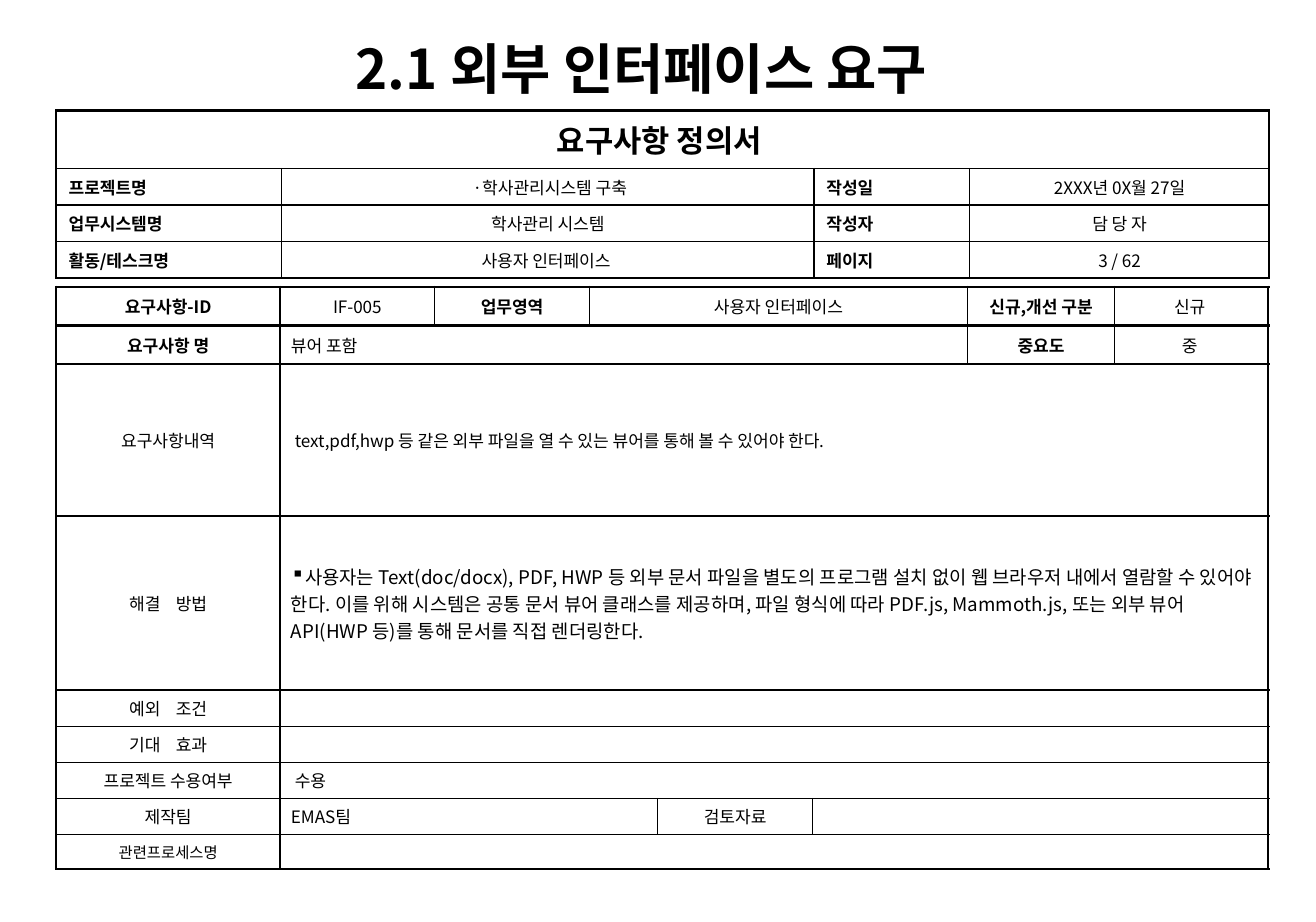
from lxml import etree
from pptx import Presentation
from pptx import util as u
from pptx.dml import color
from pptx.enum import text
from pptx.oxml import ns

FONT = "Noto Sans CJK KR"
BLACK = "000000"
THIN, THICK = 1, 1.5


def write(frame, words, size=10, bold=False, align="CENTER", bullet=None):
    para = frame.paragraphs[0]
    para.alignment = getattr(text.PP_ALIGN, align)
    if bullet:
        etree.SubElement(para._p.get_or_add_pPr(), ns.qn("a:buChar"), char=bullet)
    if not words:
        etree.SubElement(para._p, ns.qn("a:endParaRPr"), sz=str(size * 100))
        return
    span = para.add_run()
    span.text = words
    span.font.size = u.Pt(size)
    span.font.bold = bold
    span.font.name = FONT
    span.font.color.rgb = color.RGBColor.from_string(BLACK)
    etree.SubElement(span.font._element, ns.qn("a:ea"), typeface=FONT)


def draw_borders(cell, **widths):
    """Draw each side (L, R, T, B) as a solid line of the given width in points."""
    properties = cell._tc.get_or_add_tcPr()
    for side in "LRTB":
        line = etree.SubElement(properties, ns.qn("a:ln" + side), w=str(u.Pt(widths[side])))
        fill = etree.SubElement(line, ns.qn("a:solidFill"))
        etree.SubElement(fill, ns.qn("a:srgbClr"), val=BLACK)


heading = dict(size=18, bold=True)
left_label = dict(bold=True, align="JUSTIFY")
label = dict(bold=True)
centred = dict()
small = dict(size=9)
body = dict(align="LEFT")
solution = dict(size=11, align="LEFT", bullet="▪")

# Each cell is (text, columns spanned, format).
project_rows = [
    [("요구사항 정의서 ", 4, heading)],
    [("프로젝트명", 1, left_label), (" ·학사관리시스템 구축", 1, centred),
     ("작성일", 1, left_label), ("2XXX년 0X월 27일", 1, centred)],
    [("업무시스템명 ", 1, left_label), ("학사관리 시스템", 1, centred),
     ("작성자", 1, left_label), ("담 당 자", 1, centred)],
    [("활동/테스크명", 1, left_label), ("사용자 인터페이스 ", 1, centred),
     ("페이지", 1, left_label), ("3 / 62", 1, centred)],
]
requirement_rows = [
    [("요구사항-ID", 1, label), ("IF-005", 1, centred), ("업무영역", 1, label),
     ("사용자 인터페이스", 3, centred), ("신규,개선 구분", 1, label), ("신규 ", 1, centred)],
    [("요구사항 명", 1, label), ("뷰어 포함", 5, body), ("중요도", 1, label), ("중 ", 1, centred)],
    [("요구사항내역", 1, centred),
     (" text,pdf,hwp 등 같은 외부 파일을 열 수 있는 뷰어를 통해 볼 수 있어야 한다.", 7, body)],
    [("해결    방법", 1, centred),
     ("사용자는 Text(doc/docx), PDF, HWP 등 외부 문서 파일을 별도의 프로그램 설치 없이 "
      "웹 브라우저 내에서 열람할 수 있어야 한다. 이를 위해 시스템은 공통 문서 뷰어 클래스를 "
      "제공하며, 파일 형식에 따라 PDF.js, Mammoth.js, 또는 외부 뷰어 API(HWP 등)를 통해 "
      "문서를 직접 렌더링한다.", 7, solution)],
    [("예외    조건", 1, centred), ("", 7, body)],
    [("기대    효과", 1, centred), ("", 7, body)],
    [("프로젝트 수용여부", 1, centred), (" 수용", 7, body)],
    [("제작팀", 1, centred), ("EMAS팀", 3, body), ("검토자료", 1, centred), ("", 3, body)],
    [("관련프로세스명", 1, small), ("", 7, body)],
]

# Each table is (top, column widths, row heights, side margin, rows ruled off thickly, rows).
tables = [
    (64.7, [132, 312, 91.2, 175.5], [34] + [21.4] * 3, 7.2, 0, project_rows),
    (168, [131, 90.7, 90.7, 40, 90.7, 90.7, 86.4, 90],
     [22.6, 22.6, 89, 102] + [21.2] * 4 + [20], 6.5, 2, requirement_rows),
]

deck = Presentation()
deck.slide_width, deck.slide_height = u.Pt(771), u.Pt(540)
page = deck.slides.add_slide(deck.slide_layouts[6])

for top, widths, heights, margin, thick_rows, rows in tables:
    table = page.shapes.add_table(
        len(heights), len(widths), u.Pt(33), u.Pt(top),
        u.Pt(sum(widths)), u.Pt(sum(heights))).table
    table.first_row = table.horz_banding = False
    for column, width in zip(table.columns, widths):
        column.width = u.Pt(width)
    for row, height in zip(table.rows, heights):
        row.height = u.Pt(height)

    for row, entries in enumerate(rows):
        edge_top = THICK if row <= thick_rows else THIN
        edge_bottom = THICK if row < thick_rows or row == len(rows) - 1 else THIN
        start = 0
        for words, spanned, style in entries:
            end = start + spanned
            for column in range(start, end):
                cell = table.cell(row, column)
                cell.margin_left = cell.margin_right = u.Pt(margin)
                cell.margin_top = cell.margin_bottom = u.Pt(2)
                cell.vertical_anchor = text.MSO_ANCHOR.MIDDLE
                draw_borders(cell, L=THIN if start else THICK,
                             R=THICK if end == len(widths) else THIN,
                             T=edge_top, B=edge_bottom)
                cell.fill.background()
                write(cell.text_frame, words if column == start else "", **style)
            if spanned > 1:
                table.cell(row, start).merge(table.cell(row, end - 1))
            start = end

box = page.shapes.add_textbox(u.Pt(122.4), u.Pt(17), u.Pt(507), u.Pt(58))
box.text_frame.word_wrap = True
write(box.text_frame, "2.1 외부 인터페이스 요구", size=32, bold=True)

deck.save("out.pptx")
